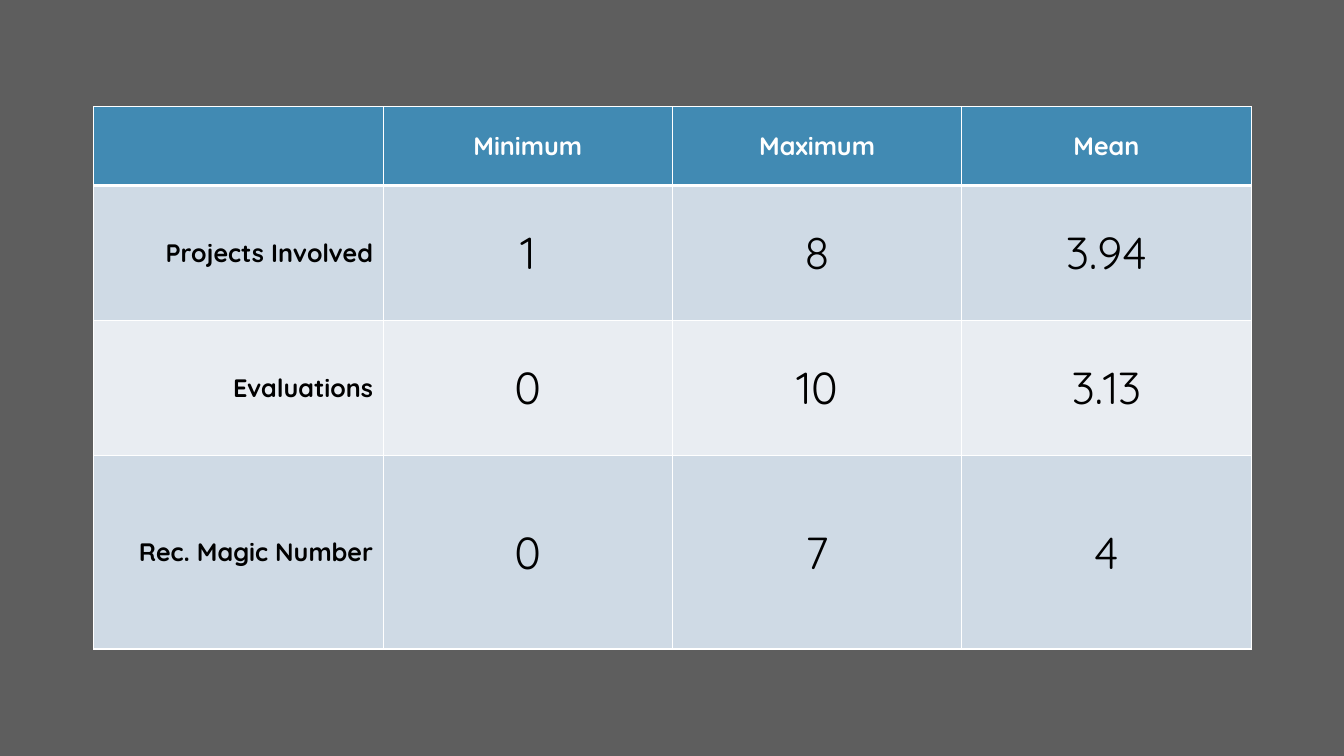
import pptx
import pptx.dml.color
import pptx.enum.text
import pptx.oxml
import pptx.oxml.ns
import pptx.util
from pptx.util import Inches

FONT = "Quicksand"
WHITE, BLACK = "FFFFFF", "000000"
BACKGROUND, HEADER_FILL = "5E5E5E", "418AB3"
BAND_FILLS = ["CFDAE5", "E9EDF2"]
ALIGN = pptx.enum.text.PP_ALIGN

ROW_HEIGHTS = [0.78, 1.34, 1.34, 1.92]
STATISTICS = [
    ["", "Minimum", "Maximum", "Mean"],
    ["Projects Involved", "1", "8", "3.94"],
    ["Evaluations", "0", "10", "3.13"],
    ["Rec. Magic Number", "0", "7", "4"],
]


def paint(color_format, color):
    color_format.rgb = pptx.dml.color.RGBColor.from_string(color)


def fill_solid(fill, color):
    fill.solid()
    paint(fill.fore_color, color)


def write(cell, text, size=18, bold=True, color=BLACK, align=ALIGN.CENTER):
    paragraph = cell.text_frame.paragraphs[0]
    paragraph.alignment = align
    if text:
        run = paragraph.add_run()
        run.text = text
        run.font.name, run.font.size, run.font.bold = FONT, pptx.util.Pt(size), bold
        paint(run.font.color, color)
    cell.vertical_anchor = pptx.enum.text.MSO_ANCHOR.MIDDLE


def set_borders(cell, color, **widths):
    """Draw the cell edges; widths maps L, R, T and B, in that order, to points."""
    properties = cell._tc.get_or_add_tcPr()
    for edge, width in widths.items():
        properties.append(pptx.oxml.parse_xml(
            f'<a:ln{edge} {pptx.oxml.ns.nsdecls("a")} w="{pptx.util.Pt(width)}">'
            f'<a:solidFill><a:srgbClr val="{color}"/></a:solidFill></a:ln{edge}>'))


def add_statistics_table(slide, left, top, width):
    row_count, column_count = len(STATISTICS), len(STATISTICS[0])
    table = slide.shapes.add_table(
        row_count, column_count, Inches(left), Inches(top),
        Inches(width), Inches(sum(ROW_HEIGHTS))).table
    for column in table.columns:
        column.width = Inches(width / column_count)

    for r, values in enumerate(STATISTICS):
        table.rows[r].height = Inches(ROW_HEIGHTS[r])
        for c, value in enumerate(values):
            cell = table.cell(r, c)
            # A heavier rule separates the header from the body
            set_borders(cell, WHITE, L=1, R=1, T=3 if r == 1 else 1, B=3 if r == 0 else 1)
            if r == 0:
                fill_solid(cell.fill, HEADER_FILL)
                write(cell, value, color=WHITE)
                continue
            fill_solid(cell.fill, BAND_FILLS[(r - 1) % 2])
            if c == 0:
                write(cell, value, align=ALIGN.RIGHT)
            else:
                write(cell, value, size=32, bold=False)


def main():
    presentation = pptx.Presentation()
    presentation.slide_width, presentation.slide_height = Inches(13.33), Inches(7.5)
    slide = presentation.slides.add_slide(presentation.slide_layouts[6])
    fill_solid(slide.background.fill, BACKGROUND)
    add_statistics_table(slide, left=0.93, top=1.06, width=11.48)
    presentation.save("out.pptx")


if __name__ == "__main__":
    main()
